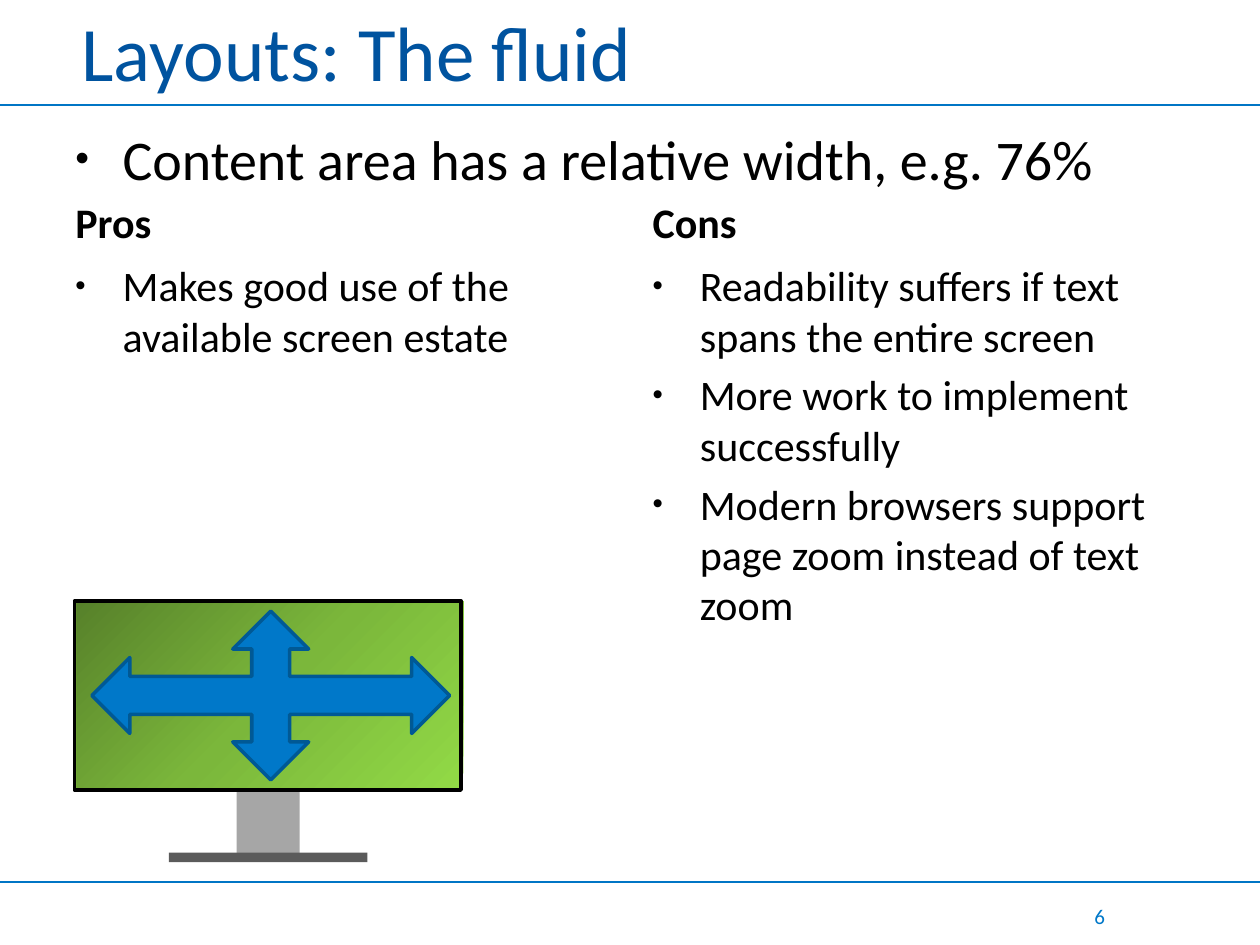
from lxml import etree
from pptx import Presentation
from pptx.dml.color import RGBColor
from pptx.enum import shapes, text
from pptx.oxml import parse_xml
from pptx.oxml.ns import nsdecls, qn
from pptx.util import Pt

BLACK = RGBColor(0x00, 0x00, 0x00)
TITLE_BLUE = RGBColor(0x00, 0x53, 0x9F)
RULE_BLUE = RGBColor(0x00, 0x75, 0xC5)
ARROW_BLUE = RGBColor(0x00, 0x78, 0xC9)
ARROW_EDGE = RGBColor(0x00, 0x59, 0x95)
SCREEN_GREY = RGBColor(0x80, 0x80, 0x80)
NECK_GREY = RGBColor(0xA6, 0xA6, 0xA6)
FOOT_GREY = RGBColor(0x5B, 0x5B, 0x5B)
SCREEN_GREENS = [(0, "57812A"), (50, "7BB73B"), (100, "92DA46")]

TITLE = "Layouts: The fluid"
SUMMARY = "Content area has a relative width, e.g. 76%"
COLUMNS = [
    ("Pros", ["Makes good use of the available screen estate"]),
    ("Cons", ["Readability suffers if text spans the entire screen",
              "More work to implement successfully",
              "Modern browsers support page zoom instead of text zoom"]),
]
PAGE_NUMBER = "6"

WIDTH, HEIGHT = 720, 540
MARGIN = 36
COLUMN_WIDTH = 318.2
COLUMN_STEP = WIDTH - 2 * MARGIN - COLUMN_WIDTH
INDENT = 27
RECT = shapes.MSO_SHAPE.RECTANGLE
TOP, MIDDLE, BOTTOM = (text.MSO_ANCHOR.TOP, text.MSO_ANCHOR.MIDDLE,
                       text.MSO_ANCHOR.BOTTOM)


def add_text(slide, box, lines, size, color=BLACK, anchor=TOP, bold=False,
             bullets=False, align=text.PP_ALIGN.LEFT, spaced=True):
    frame = slide.shapes.add_textbox(*map(Pt, box)).text_frame
    frame.word_wrap = True
    frame.vertical_anchor = anchor
    for index, line in enumerate(lines):
        paragraph = frame.paragraphs[0] if index == 0 else frame.add_paragraph()
        paragraph.alignment = align
        if spaced:
            paragraph.space_before = Pt(0.2 * size)
        if bullets:
            add_bullet(paragraph)
        run = paragraph.add_run()
        run.text = line
        run.font.name = "Calibri"
        run.font.size = Pt(size)
        run.font.bold = bold
        run.font.color.rgb = color


def add_bullet(paragraph):
    props = paragraph._p.get_or_add_pPr()
    props.set("marL", str(Pt(INDENT)))
    props.set("indent", str(-Pt(INDENT)))
    etree.SubElement(props, qn("a:buSzPct")).set("val", "70000")
    etree.SubElement(props, qn("a:buFont")).set("typeface", "Arial")
    etree.SubElement(props, qn("a:buChar")).set("char", "•")


def add_rule(slide, y):
    rule = slide.shapes.add_connector(shapes.MSO_CONNECTOR.STRAIGHT,
                                      0, Pt(y), Pt(WIDTH), Pt(y))
    rule.line.color.rgb = RULE_BLUE
    rule.line.width = Pt(0.75)
    etree.SubElement(rule._element.spPr, qn("a:effectLst"))


def add_part(slide, kind, box, fill=None, edge=None):
    part = slide.shapes.add_shape(kind, *map(Pt, box))
    part.shadow.inherit = False
    if fill is None:
        part.fill.background()
    else:
        part.fill.solid()
        part.fill.fore_color.rgb = fill
    if edge is None:
        part.line.fill.background()
    else:
        part.line.color.rgb = edge
        part.line.width = Pt(2)
    return part


def shade_from_corner(part, stops):
    """Replace the solid fill by a radial gradient from the top left corner."""
    stop_xml = "".join(
        f'<a:gs pos="{position * 1000}"><a:srgbClr val="{color}"/></a:gs>'
        for position, color in stops)
    gradient = parse_xml(
        f'<a:gradFill {nsdecls("a")} rotWithShape="1"><a:gsLst>{stop_xml}</a:gsLst>'
        '<a:path path="circle"><a:fillToRect r="100000" b="100000"/></a:path>'
        '</a:gradFill>')
    props = part._element.spPr
    props.replace(props.find(qn("a:solidFill")), gradient)


def add_monitor(slide):
    left, top, width, height = screen = (42.5, 343.5, 221, 108)
    add_part(slide, RECT, screen, SCREEN_GREY)
    glow = add_part(slide, RECT, (left + 1.4, top, width, height), SCREEN_GREY)
    shade_from_corner(glow, SCREEN_GREENS)
    add_part(slide, shapes.MSO_SHAPE.QUAD_ARROW, (52.5, 349.2, 204.5, 96.5),
             ARROW_BLUE, ARROW_EDGE)
    add_part(slide, RECT, (135.2, top + height, 36, 38), NECK_GREY)
    add_part(slide, RECT, screen, edge=BLACK)
    add_part(slide, RECT, (96.5, 487.2, 113.5, 5.5), FOOT_GREY)


def main():
    deck = Presentation()
    deck.slide_width, deck.slide_height = Pt(WIDTH), Pt(HEIGHT)
    slide = deck.slides.add_slide(deck.slide_layouts[6])

    for y in (60, 504):
        add_rule(slide, y)
    add_text(slide, (39.6, 5.8, 648, 46), [TITLE], 44, TITLE_BLUE, MIDDLE,
             spaced=False)
    add_text(slide, (MARGIN, 67.7, 648, 44), [SUMMARY], 32, bullets=True)
    for index, (heading, points) in enumerate(COLUMNS):
        left = MARGIN + index * COLUMN_STEP
        add_text(slide, (left, 94.5, COLUMN_WIDTH, 50.4), [heading], 24,
                 anchor=BOTTOM, bold=True)
        add_text(slide, (left, 144.9, COLUMN_WIDTH, 311), points, 24,
                 bullets=True)
    add_monitor(slide)
    add_text(slide, (590.4, 515, 48.2, 16.6), [PAGE_NUMBER], 12, ARROW_BLUE,
             MIDDLE, align=text.PP_ALIGN.RIGHT, spaced=False)
    deck.save("out.pptx")


if __name__ == "__main__":
    main()
